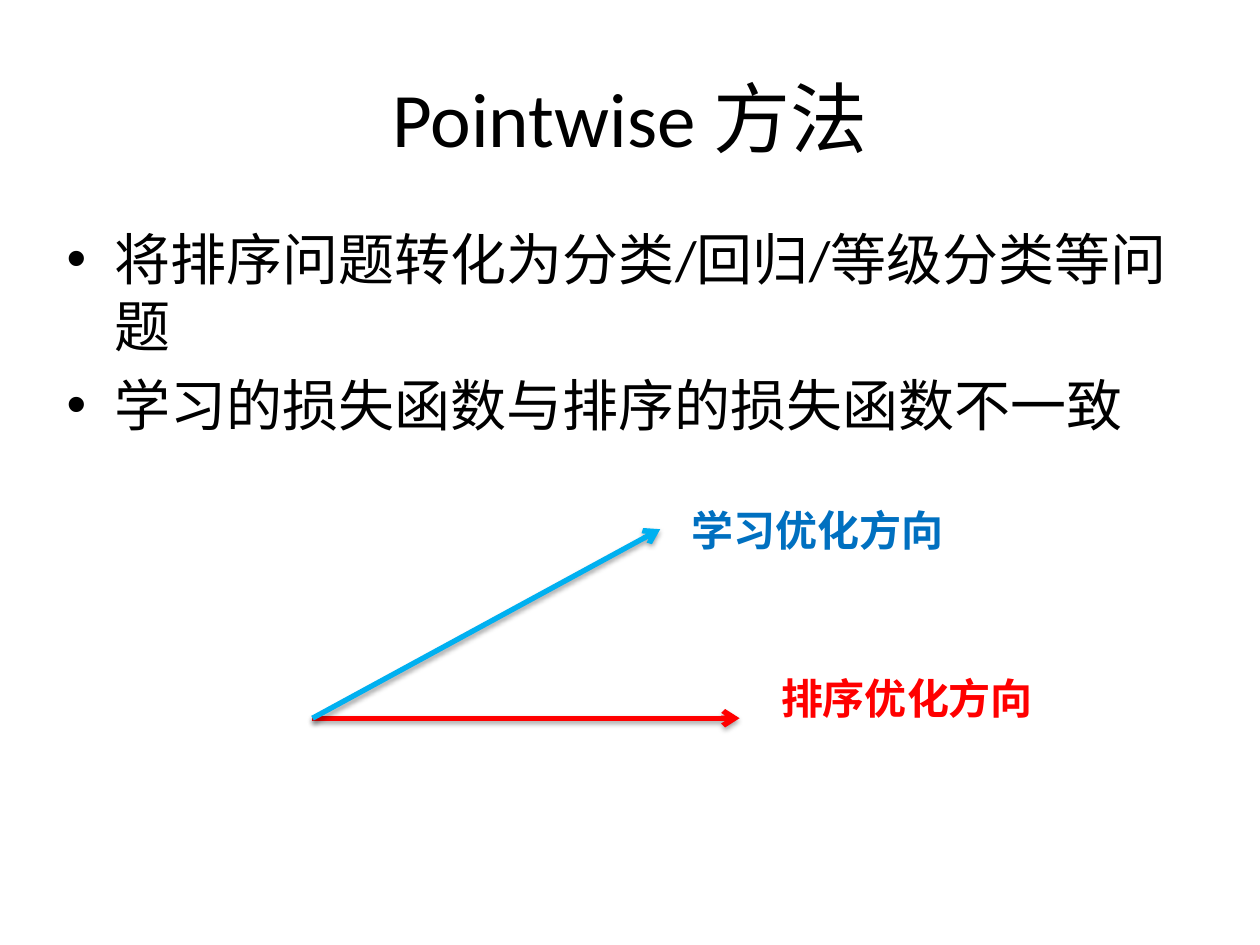
from dataclasses import dataclass

import lxml.etree
import pptx
import pptx.dml.color
import pptx.enum.shapes
import pptx.enum.text
import pptx.oxml.ns
import pptx.util

WIDTH, HEIGHT = 10, 7.5
LATIN, CHINESE = "Calibri", "Noto Sans CJK SC"
INDENT = 0.38
ORIGIN = (0.248, 0.76)  # shared start of both arrows, as shares of the slide


@dataclass
class Direction:
    """An arrow from the origin and its label; places are shares of the slide."""
    label: str
    tip: tuple[float, float]
    label_corner: tuple[float, float]
    arrow_color: str
    label_color: str


DIRECTIONS = [
    Direction("排序优化方向", (0.587, 0.76), (0.61, 0.705), "FF0000", "FF0000"),
    Direction("学习优化方向", (0.524, 0.56), (0.539, 0.527), "00B0F0", "0070C0"),
]
POINTS = ["将排序问题转化为分类/回归/等级分类等问题", "学习的损失函数与排序的损失函数不一致"]


def color(value: str) -> pptx.dml.color.RGBColor:
    return pptx.dml.color.RGBColor.from_string(value)


def across(share: float) -> int:
    return pptx.util.Inches(share * WIDTH)


def down(share: float) -> int:
    return pptx.util.Inches(share * HEIGHT)


def add_child(parent, tag: str, **attributes):
    return lxml.etree.SubElement(parent, pptx.oxml.ns.qn(tag), attributes)


def style(para, size: float, font_name: str, text_color: str, bold: bool = False) -> None:
    font = para.font
    font.size, font.name, font.bold = pptx.util.Pt(size), font_name, bold
    font.color.rgb = color(text_color)
    add_child(font._element, "a:ea", typeface=CHINESE)


def add_box(shapes, left: float, top: float, width: float, height: float):
    box = shapes.add_textbox(across(left), down(top), across(width), down(height))
    box.text_frame.word_wrap = True
    return box.text_frame


def add_title(shapes, text: str) -> None:
    frame = add_box(shapes, 0.05, 0.04, 0.9, 1 / 6)
    frame.vertical_anchor = pptx.enum.text.MSO_ANCHOR.MIDDLE
    para = frame.paragraphs[0]
    para.text = text
    para.alignment = pptx.enum.text.PP_ALIGN.CENTER
    style(para, 44, LATIN, "000000")


def add_points(shapes, points: list[str]) -> None:
    frame = add_box(shapes, 0.043, 0.231, 0.9, 0.66)
    for index, point in enumerate(points):
        para = frame.add_paragraph() if index else frame.paragraphs[0]
        para.text = point
        if index:
            para.space_before = pptx.util.Pt(6.4)
        properties = para._p.get_or_add_pPr()
        indent = pptx.util.Inches(INDENT)
        properties.set("marL", str(indent))
        properties.set("indent", str(-indent))
        add_child(properties, "a:buFont", typeface="Arial")
        add_child(properties, "a:buChar", char="•")
        style(para, 32, LATIN, "000000")


def add_arrow(shapes, direction: Direction) -> None:
    arrow = shapes.add_connector(
        pptx.enum.shapes.MSO_CONNECTOR.STRAIGHT,
        across(ORIGIN[0]), down(ORIGIN[1]),
        across(direction.tip[0]), down(direction.tip[1]))
    arrow.line.width = pptx.util.Pt(3)
    arrow.line.color.rgb = color(direction.arrow_color)
    add_child(arrow.line._get_or_add_ln(), "a:tailEnd", type="arrow")
    # Soft shadow straight below the line
    effects = add_child(arrow._element.spPr, "a:effectLst")
    shadow = add_child(effects, "a:outerShdw", blurRad=str(pptx.util.Pt(3.1)),
                       dist=str(pptx.util.Pt(1.8)), dir="5400000", rotWithShape="0")
    add_child(add_child(shadow, "a:srgbClr", val="000000"), "a:alpha", val="35000")


def add_label(shapes, direction: Direction) -> None:
    frame = add_box(shapes, *direction.label_corner, 0.228, 1 / 15)
    para = frame.paragraphs[0]
    para.text = direction.label
    style(para, 24, CHINESE, direction.label_color, bold=True)


def main() -> None:
    deck = pptx.Presentation()
    deck.slide_width, deck.slide_height = across(1), down(1)
    page = deck.slides.add_slide(deck.slide_layouts[6])

    # Heading and bullets
    add_title(page.shapes, "Pointwise 方法")
    add_points(page.shapes, POINTS)

    # Diagram: arrows first, labels on top
    diagram = page.shapes.add_group_shape().shapes
    for draw in (add_arrow, add_label):
        for direction in DIRECTIONS:
            draw(diagram, direction)

    deck.save("out.pptx")


if __name__ == "__main__":
    main()
